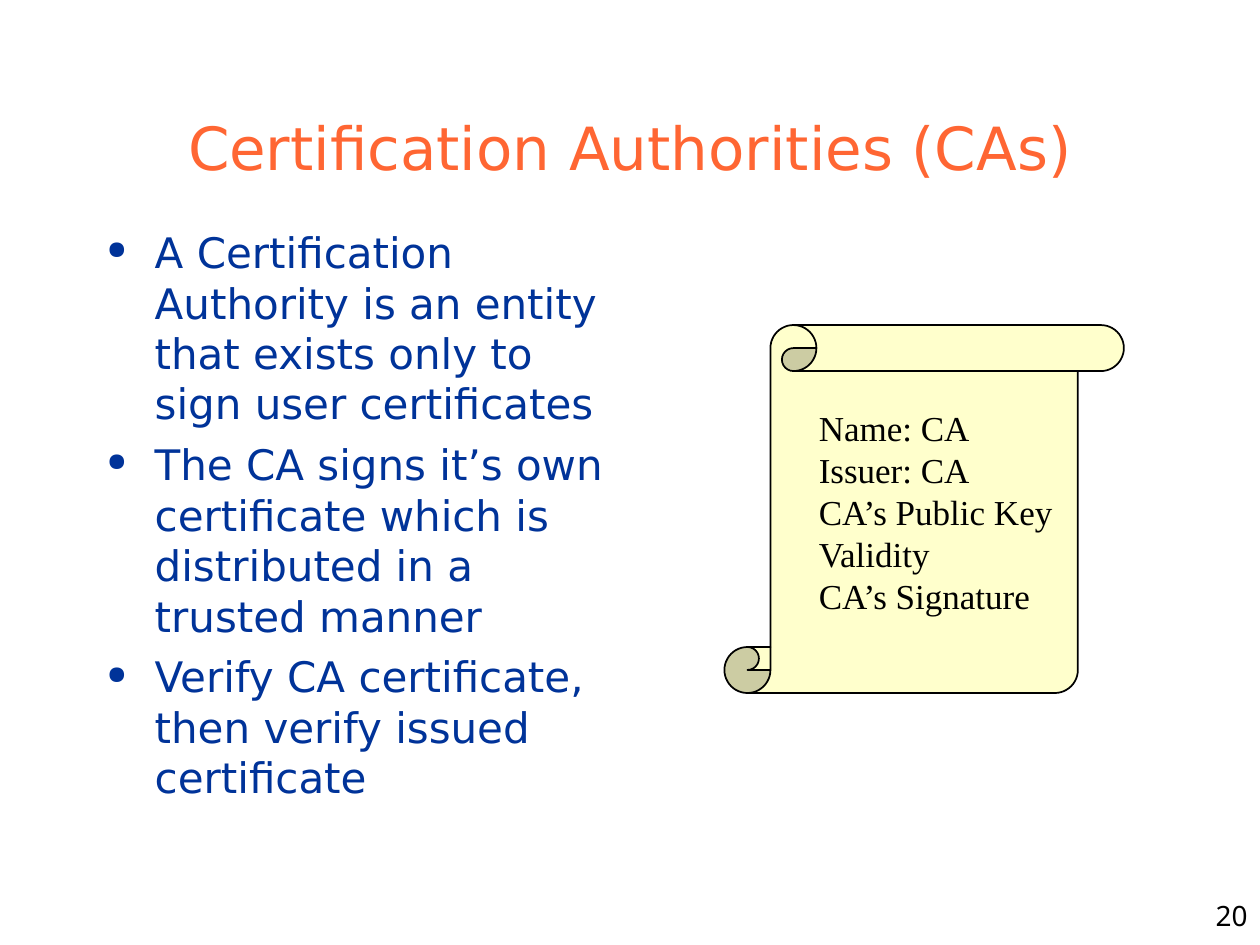
import dataclasses
import typing

import pptx
import pptx.dml.color
import pptx.enum.shapes
import pptx.enum.text
import pptx.oxml
import pptx.oxml.ns
import pptx.util

Inches = pptx.util.Inches
Pt = pptx.util.Pt
RGBColor = pptx.dml.color.RGBColor
Align = pptx.enum.text.PP_ALIGN
Anchor = pptx.enum.text.MSO_ANCHOR

ORANGE = RGBColor(0xFF, 0x66, 0x33)
BLUE = RGBColor(0x00, 0x33, 0x99)
CREAM = RGBColor(0xFF, 0xFF, 0xCC)
BLACK = RGBColor(0x00, 0x00, 0x00)


@dataclasses.dataclass(frozen=True)
class TextBlock:
    left: float
    top: float
    width: float
    height: float
    lines: tuple[str, ...]
    font: str
    size: int
    color: RGBColor
    align: Align = Align.LEFT
    anchor: Anchor = Anchor.TOP
    wrap: bool = True
    bulleted: bool = False
    gap: int = 0
    fill: typing.Optional[RGBColor] = None


TITLE = TextBlock(0.75, 0.67, 8.5, 0.83, ("Certification Authorities (CAs)",),
                  "DejaVu Sans", 34, ORANGE, align=Align.CENTER, anchor=Anchor.BOTTOM)
POINTS = TextBlock(
    0.75, 1.75, 4.17, 4.75,
    (
        "A Certification Authority is an entity that exists only to sign user certificates",
        "The CA signs it’s own certificate which is distributed in a trusted manner",
        "Verify CA certificate, then verify issued certificate",
    ),
    "DejaVu Sans", 24, BLUE, bulleted=True, gap=6)
CERTIFICATE = TextBlock(
    6.4, 3.18, 2.1, 1.77,
    ("Name: CA", "Issuer: CA", "CA’s Public Key", "Validity", "CA’s Signature"),
    "Times New Roman", 20, BLACK, wrap=False, fill=CREAM)
PAGE_NUMBER = TextBlock(7.17, 7.08, 2.83, 0.42, ("20",), "Noto Sans", 16, BLACK,
                        align=Align.RIGHT)


def add_bullet(paragraph: typing.Any, color: RGBColor) -> None:
    properties = paragraph._p.get_or_add_pPr()
    properties.set("marL", str(Inches(0.38)))
    properties.set("indent", str(Inches(-0.38)))
    namespace = pptx.oxml.ns.nsdecls("a")
    for element in (
        f'<a:buClr {namespace}><a:srgbClr val="{color}"/></a:buClr>',
        f'<a:buSzPct {namespace} val="60000"/>',
        f'<a:buChar {namespace} char="●"/>',
    ):
        properties.append(pptx.oxml.parse_xml(element))


def draw_text(slide: typing.Any, block: TextBlock) -> None:
    box = slide.shapes.add_textbox(Inches(block.left), Inches(block.top),
                                   Inches(block.width), Inches(block.height))
    if block.fill is not None:
        box.fill.solid()
        box.fill.fore_color.rgb = block.fill
    frame = box.text_frame
    frame.word_wrap = block.wrap
    frame.vertical_anchor = block.anchor
    for index, line in enumerate(block.lines):
        paragraph = frame.add_paragraph() if index else frame.paragraphs[0]
        paragraph.text = line
        paragraph.alignment = block.align
        if index and block.gap:
            paragraph.space_before = Pt(block.gap)
        if block.bulleted:
            add_bullet(paragraph, block.color)
        paragraph.font.name = block.font
        paragraph.font.size = Pt(block.size)
        paragraph.font.color.rgb = block.color


def draw_scroll(slide: typing.Any) -> None:
    scroll = slide.shapes.add_shape(
        pptx.enum.shapes.MSO_SHAPE.VERTICAL_SCROLL,
        Inches(5.75), Inches(2.58), Inches(3.17), Inches(2.92))
    scroll.adjustments[0] = 0.125
    scroll.shadow.inherit = False
    scroll.fill.solid()
    scroll.fill.fore_color.rgb = CREAM
    scroll.line.color.rgb = BLACK
    scroll.line.width = Pt(1)


def main() -> None:
    presentation = pptx.Presentation()
    presentation.slide_width = Inches(10)
    presentation.slide_height = Inches(7.5)
    slide = presentation.slides.add_slide(presentation.slide_layouts[6])
    draw_text(slide, TITLE)
    draw_text(slide, POINTS)
    draw_scroll(slide)
    draw_text(slide, CERTIFICATE)
    draw_text(slide, PAGE_NUMBER)
    presentation.save("out.pptx")


if __name__ == "__main__":
    main()
